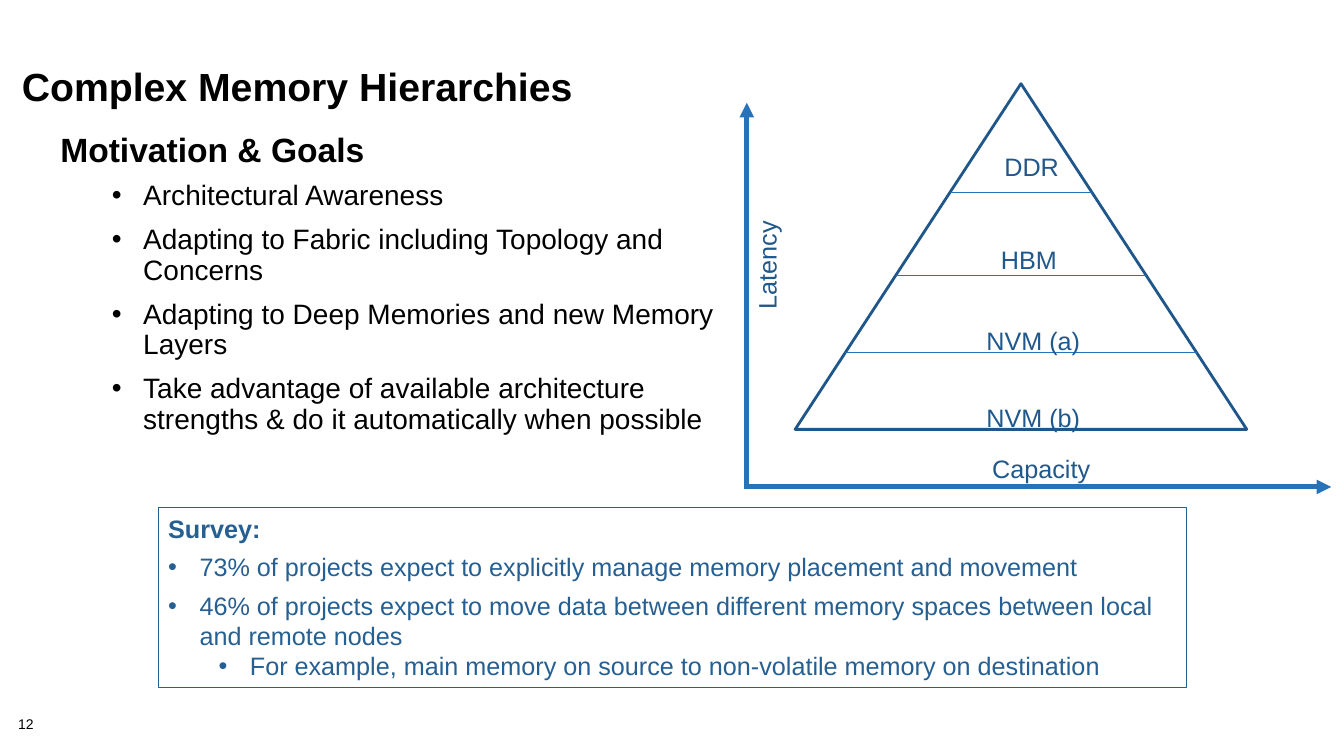
from lxml.etree import SubElement
from pptx import Presentation
from pptx.dml.color import RGBColor
from pptx.enum.shapes import MSO_CONNECTOR, MSO_SHAPE
from pptx.enum.text import MSO_ANCHOR, MSO_AUTO_SIZE, PP_ALIGN
from pptx.oxml.ns import qn
from pptx.util import Cm, Pt

FONT = "Arial"
BLACK = "000000"
AXIS_BLUE = "2673BA"
LABEL_BLUE = "20588C"
OUTLINE_BLUE = "1F578A"
SURVEY_BLUE = "266093"

GOALS = [
    "Architectural Awareness",
    "Adapting to Fabric including Topology and Concerns",
    "Adapting to Deep Memories and new Memory Layers",
    "Take advantage of available architecture strengths & do it automatically when possible",
]
SURVEY_RESULTS = [
    "73% of projects expect to explicitly manage memory placement and movement",
    "46% of projects expect to move data between different memory spaces between local and remote nodes",
]
SURVEY_EXAMPLE = "For example, main memory on source to non-volatile memory on destination"
MEMORY_LAYERS = [("DDR", 0.27, 2.08), ("HBM", 0.2, 4.42), ("NVM (a)", 0.31, 6.48), ("NVM (b)", 0.31, 8.41)]
LAYER_DIVIDERS = [2.74, 4.84, 6.78]


def colour(hex_string):
    """Turn a hex string into a colour."""
    return RGBColor.from_string(hex_string)


def place(shape, box):
    """Move a shape to a box of left, top, width and height in centimetres."""
    shape.left, shape.top, shape.width, shape.height = [Cm(length) for length in box]


def format_paragraph(paragraph, size, hex_string, bold=False, spacing=1.0, before=0):
    """Set the font, colour and spacing of a paragraph."""
    paragraph.alignment = PP_ALIGN.LEFT
    paragraph.line_spacing = spacing
    paragraph.space_before = Pt(before)
    for run in paragraph.runs:
        run.font.name = FONT
        run.font.size = Pt(size)
        run.font.bold = bold
        run.font.color.rgb = colour(hex_string)


def add_bullet(paragraph, indent=0.79):
    """Give a paragraph a hanging round bullet."""
    properties = paragraph._p.get_or_add_pPr()
    properties.set("marL", str(Cm(indent)))
    properties.set("indent", str(-Cm(0.79)))
    SubElement(properties, qn("a:buFont"), typeface=FONT)
    SubElement(properties, qn("a:buChar"), char="•")


def add_text(shapes, box, text, size, hex_string, **style):
    """Add a text box with one formatted paragraph."""
    text_box = shapes.add_textbox(*[Cm(length) for length in box])
    text_box.text_frame.word_wrap = True
    text_box.text_frame.text = text
    format_paragraph(text_box.text_frame.paragraphs[0], size, hex_string, **style)
    return text_box


def add_label(shapes, centre_x, centre_y, text):
    """Add an unwrapped diagram label around a centre point."""
    width, height = 3, 1.02
    box = (centre_x - width / 2, centre_y - height / 2, width, height)
    label = add_text(shapes, box, text, 18, LABEL_BLUE)
    label.text_frame.word_wrap = False
    label.text_frame.paragraphs[0].alignment = PP_ALIGN.CENTER
    return label


def add_line(shapes, start, end, width, arrow=False):
    """Add a straight line, with an arrowhead at its end if asked."""
    points = [Cm(length) for length in (*start, *end)]
    line = shapes.add_connector(MSO_CONNECTOR.STRAIGHT, *points)
    line.line.color.rgb = colour(AXIS_BLUE)
    line.line.width = Pt(width)
    if arrow:
        SubElement(line.line._get_or_add_ln(), qn("a:tailEnd"), type="triangle")
    SubElement(line._element.spPr, qn("a:effectLst"))


def add_outline(shapes, kind, box, hex_string, width):
    """Add an unfilled shape with a coloured outline."""
    shape = shapes.add_shape(kind, *[Cm(length) for length in box])
    shape.shadow.inherit = False
    shape.fill.background()
    shape.line.color.rgb = colour(hex_string)
    shape.line.width = Pt(width)
    return shape


def build_headings(slide, box):
    """Fill the title and add the subheading below it."""
    left, top, width, height = box
    title = slide.shapes.title
    place(title, box)
    title.text_frame.text = "Complex Memory Hierarchies"
    title.text_frame.auto_size = MSO_AUTO_SIZE.NONE
    format_paragraph(title.text_frame.paragraphs[0], 28, BLACK, bold=True, spacing=0.9)
    subheading_box = (left + 0.97, top + height, width, height)
    subheading = add_text(slide.shapes, subheading_box, "Motivation & Goals", 24, BLACK, bold=True, spacing=0.9)
    for heading in (title, subheading):
        heading.text_frame.vertical_anchor = MSO_ANCHOR.BOTTOM


def build_goals(slide, box):
    """Add the bulleted list of goals."""
    text_box = slide.shapes.add_textbox(*[Cm(length) for length in box])
    text_box.text_frame.word_wrap = True
    text_box.text_frame.text = "\n".join(GOALS)
    for paragraph in text_box.text_frame.paragraphs:
        format_paragraph(paragraph, 20, BLACK, spacing=0.9, before=10)
        add_bullet(paragraph)


def build_axes(slide, box):
    """Add the latency and capacity axes along the left and bottom of a box."""
    left, top, width, height = box
    bottom = top + height
    shapes = slide.shapes.add_group_shape().shapes
    add_line(shapes, (left, bottom + 0.05), (left, top), 3.5, arrow=True)
    add_line(shapes, (left - 0.05, bottom), (left + width, bottom), 3.5, arrow=True)
    add_label(shapes, left + 0.5, top + 4.09, "Latency").rotation = 270
    add_label(shapes, left + 7.42, bottom - 0.46, "Capacity")


def build_pyramid(slide, box):
    """Add the memory pyramid with dividers that reach its sides."""
    left, top, width, height = box
    centre = left + width / 2
    shapes = slide.shapes.add_group_shape().shapes
    add_outline(shapes, MSO_SHAPE.ISOSCELES_TRIANGLE, box, OUTLINE_BLUE, 2)
    for depth in LAYER_DIVIDERS:
        reach = width / 2 * depth / height
        add_line(shapes, (centre - reach, top + depth), (centre + reach, top + depth), 0.75)
    for name, shift, depth in MEMORY_LAYERS:
        add_label(shapes, centre + shift, top + depth, name)


def build_survey(slide, box):
    """Add the framed survey results."""
    frame = add_outline(slide.shapes, MSO_SHAPE.RECTANGLE, box, SURVEY_BLUE, 0.75)
    text_frame = frame.text_frame
    text_frame.word_wrap = True
    text_frame.vertical_anchor = MSO_ANCHOR.TOP
    text_frame.text = "\n".join(["Survey:", *SURVEY_RESULTS, SURVEY_EXAMPLE])
    heading, *results, example = text_frame.paragraphs
    format_paragraph(heading, 18, SURVEY_BLUE, bold=True, before=12)
    for result in results:
        format_paragraph(result, 18, SURVEY_BLUE, before=6)
        add_bullet(result)
    example.level = 1
    format_paragraph(example, 18, SURVEY_BLUE)
    add_bullet(example, 2.06)


def build_slide_number(slide, box):
    """Add the slide number without margins."""
    number = add_text(slide.shapes, box, "12", 10, BLACK, spacing=0.9)
    text_frame = number.text_frame
    text_frame.margin_left = text_frame.margin_right = 0
    text_frame.margin_top = text_frame.margin_bottom = 0


def main():
    """Build and save the presentation."""
    presentation = Presentation()
    presentation.slide_width = Cm(33.87)
    presentation.slide_height = Cm(19.05)
    slide = presentation.slides.add_slide(presentation.slide_layouts[5])
    build_slide_number(slide, (0.46, 18.08, 1.42, 0.41))
    build_headings(slide, (0.3, 1.37, 31.57, 1.52))
    build_goals(slide, (2.57, 4.45, 15.8, 5.18))
    build_axes(slide, (18.82, 2.59, 14.73, 9.68))
    build_pyramid(slide, (20.04, 2.11, 11.38, 8.71))
    build_survey(slide, (3.99, 12.8, 25.91, 4.52))
    presentation.save("out.pptx")


if __name__ == "__main__":
    main()
